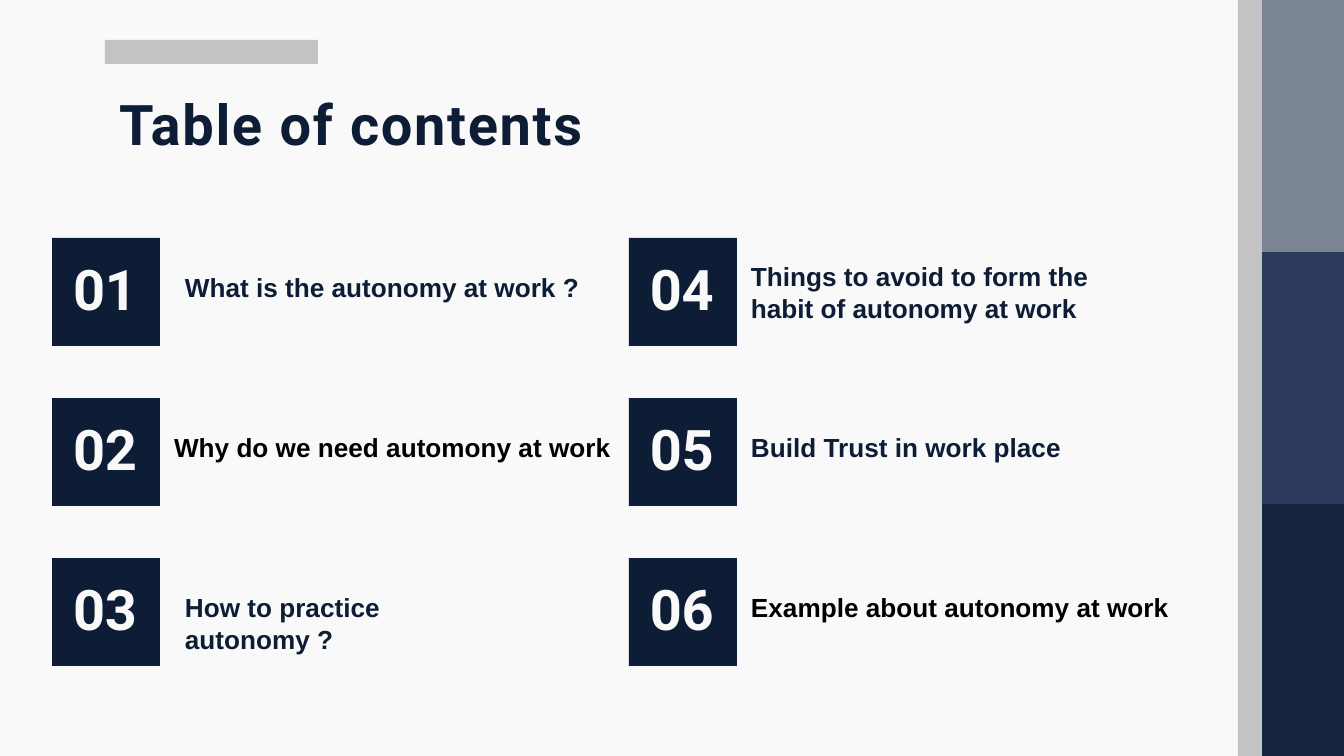
from pptx import Presentation
from pptx.dml.color import RGBColor
from pptx.enum.shapes import MSO_SHAPE
from pptx.enum.text import MSO_ANCHOR, PP_ALIGN
from pptx.util import Pt

RECTANGLE = MSO_SHAPE.RECTANGLE
TOP = MSO_ANCHOR.TOP
LEFT = PP_ALIGN.LEFT

PX = 9144000 / 1344  # EMU per px, slide is 1344 x 756 px

PAPER = RGBColor(0xF9, 0xF9, 0xF9)
NAVY = RGBColor(0x0D, 0x1D, 0x35)
BLACK = RGBColor(0x00, 0x00, 0x00)
SILVER = RGBColor(0xC3, 0xC3, 0xC3)
SLATE = RGBColor(0x7B, 0x85, 0x93)
INDIGO = RGBColor(0x2B, 0x3A, 0x5D)
MIDNIGHT = RGBColor(0x15, 0x24, 0x3E)


def add_block(left, top, width, height, color):
    block = page.shapes.add_shape(
        RECTANGLE, *(round(n * PX) for n in (left, top, width, height)))
    block.shadow.inherit = False
    block.fill.solid()
    block.fill.fore_color.rgb = color
    block.line.fill.background()
    return block


def write(box, text, font, size, color, inset_left, inset_top, tracking=0):
    frame = box.text_frame
    frame.text = text
    frame.word_wrap = True
    frame.vertical_anchor = TOP
    frame.margin_left, frame.margin_top = round(inset_left * PX), round(inset_top * PX)
    frame.margin_right = frame.margin_bottom = 0
    para = frame.paragraphs[0]
    para.alignment = LEFT
    para.line_spacing = 1.0
    para.space_before = Pt(0)
    span = para.runs[0]
    span.font.name = font
    span.font.size = Pt(size)
    span.font.bold = True
    span.font.color.rgb = color
    if tracking:  # hundredths of a point
        span._r.get_or_add_rPr().set("spc", str(tracking))
    return para


deck = Presentation()
deck.slide_width, deck.slide_height = round(1344 * PX), round(756 * PX)
page = deck.slides.add_slide(deck.slide_layouts[5])
page.background.fill.solid()
page.background.fill.fore_color.rgb = PAPER

# Side bands and strip
for row, color in enumerate((SLATE, INDIGO, MIDNIGHT)):
    add_block(1262, row * 252, 82, 252, color)
add_block(1238, 0, 24, 756, SILVER)

# Title with its accent bar
add_block(105, 40, 213, 24, SILVER)
title = page.shapes.title
title.left, title.top = round(117 * PX), round(89 * PX)
title.width, title.height = round(483 * PX), round(71 * PX)
write(title, "Table of contents", "Roboto", 30, NAVY, 2, 1, 90)

# Contents, down the left column and then the right:
# text, colour, left, top offset from the tile, width, height
entries = [
    ("What is the autonomy at work ?", NAVY, 183, 32, 400, 34),
    ("Why do we need automony at work", BLACK, 172, 32, 440, 34),
    ("How to practice autonomy ?", NAVY, 183, 32, 340, 65),
    ("Things to avoid to form the habit of autonomy at work", NAVY, 749, 21, 345, 66),
    ("Build Trust in work place", NAVY, 749, 32, 345, 34),
    ("Example about autonomy at work", BLACK, 749, 32, 425, 34),
]
for index, (text, color, left, offset, width, height) in enumerate(entries):
    column, row = divmod(index, 3)
    tile_top = 238 + row * 160
    tile = add_block(52 + column * 577, tile_top, 108, 108, NAVY)
    write(tile, f"{index + 1:02d}", "Roboto", 30, PAPER, 21, 17, -20)

    label = page.shapes.add_textbox(
        *(round(n * PX) for n in (left, tile_top + offset, width, height)))
    para = write(label, text, "Arial", 14, color, 2, 2)
    para.line_spacing = Pt(16.7)

deck.save("out.pptx")
